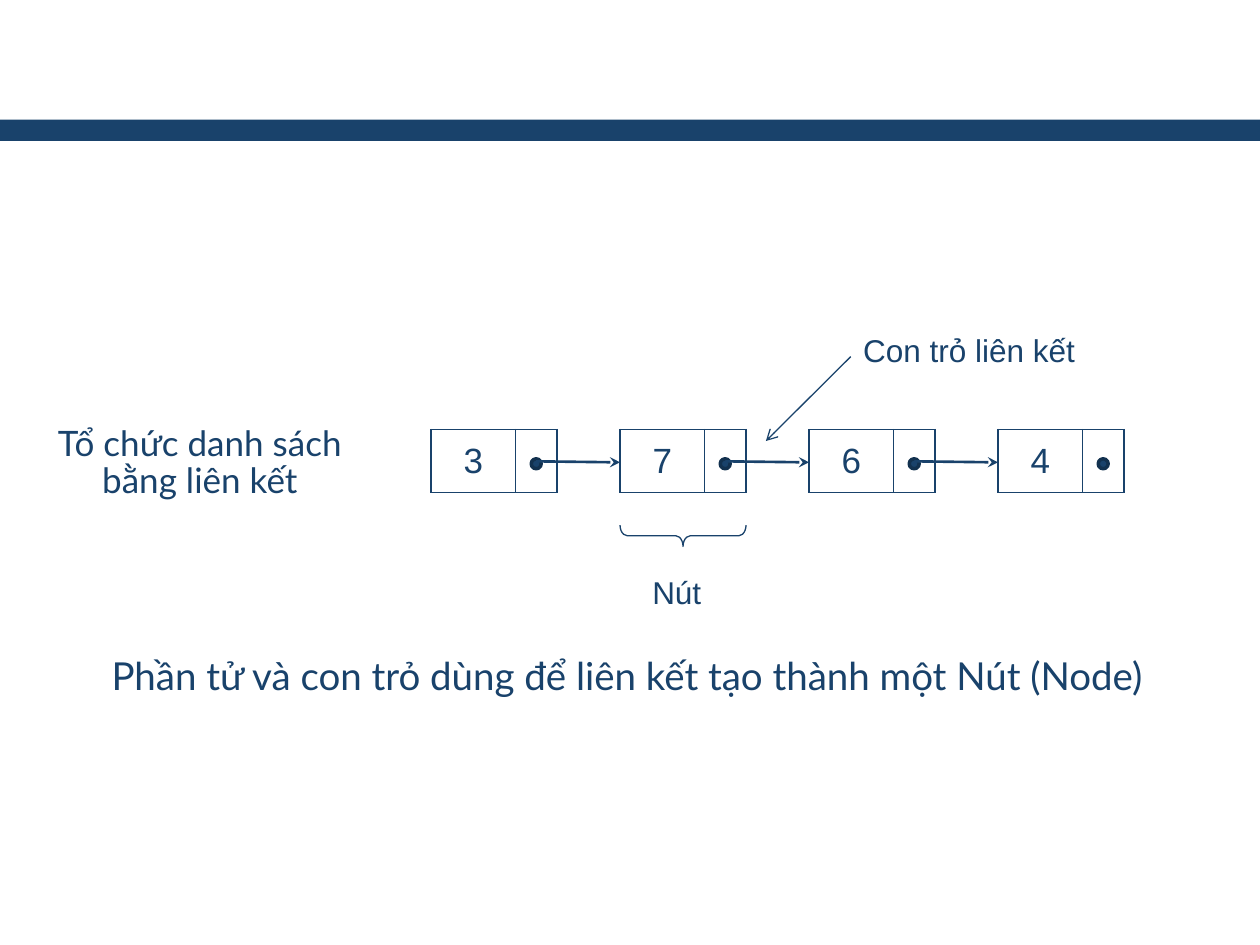
from lxml.etree import SubElement
from pptx import Presentation
from pptx.dml.color import RGBColor
from pptx.enum.shapes import MSO_CONNECTOR, MSO_SHAPE
from pptx.enum.text import MSO_ANCHOR, PP_ALIGN
from pptx.oxml.ns import qn
from pptx.util import Cm, Pt

COLORS = {"navy": "19426B", "dark": "12314F"}

# Content
NODE_VALUES = ["3", "7", "6", "4"]
# text, (left, top, width, height), font, size, paragraph options
LABELS = [
    ("Tổ chức danh sách bằng liên kết", (0.64, 8.46, 6.78, 1.9), "Lato", 20,
     {"align": PP_ALIGN.CENTER, "line": 0.9, "before": 4}),
    ("Nút", (12.9, 11.43, 1.7, 1.02), "Arial", 18, {}),
    ("Phần tử và con trỏ dùng để liên kết tạo thành một Nút (Node)",
     (0.43, 12.93, 25.4, 1.47), "Lato", 22,
     {"line": 1.1, "before": 4.4, "indent": 1.57}),
    ("Con trỏ liên kết", (17.15, 6.55, 5.51, 1.02), "Arial", 18, {}),
]

# Geometry in centimetres
FIRST_LEFT, NODE_TOP, NODE_PITCH = 8.69, 8.66, 3.81
VALUE_WIDTH, POINTER_WIDTH, NODE_HEIGHT = 1.7, 0.84, 1.27
NODE_WIDTH = VALUE_WIDTH + POINTER_WIDTH
DOT_SIZE, DOT_MIDDLE = 0.2, 9.35
LINK_START_Y, LINK_END_Y = 9.3, 9.32
BRACE_DEPTH, BRACE_MIDDLE = 0.43, 10.8


def color(name):
    return RGBColor.from_string(COLORS[name])


def add_run(paragraph, text, font, size):
    run = paragraph.add_run()
    run.text = text
    run.font.name = font
    run.font.size = Pt(size)
    run.font.color.rgb = color("navy")


def add_label(slide, text, box, font, size, options):
    frame = slide.shapes.add_textbox(*map(Cm, box)).text_frame
    frame.word_wrap = True
    paragraph = frame.paragraphs[0]
    paragraph.alignment = options.get("align", PP_ALIGN.LEFT)
    paragraph.line_spacing = options.get("line", 1.0)
    paragraph.space_before = Pt(options.get("before", 0))
    if "indent" in options:
        properties = paragraph._p.get_or_add_pPr()
        properties.set("marL", "0")
        properties.set("indent", str(Cm(options["indent"])))
    add_run(paragraph, text, font, size)


def add_plain_shape(slide, kind, box, fill=None, line=None, width=0):
    shape = slide.shapes.add_shape(kind, *map(Cm, box))
    shape.shadow.inherit = False
    if fill:
        shape.fill.solid()
        shape.fill.fore_color.rgb = color(fill)
    else:
        shape.fill.background()
    if line:
        shape.line.color.rgb = color(line)
        shape.line.width = Pt(width)
    else:
        shape.line.fill.background()
    return shape


def add_arrow(slide, start, end, width, head):
    connector = slide.shapes.add_connector(
        MSO_CONNECTOR.STRAIGHT, *map(Cm, start + end))
    connector.line.color.rgb = color("navy")
    connector.line.width = Pt(width)
    SubElement(connector.line._get_or_add_ln(), qn("a:tailEnd"), type=head)
    SubElement(connector._element.spPr, qn("a:effectLst"))


def add_borders(cell):
    properties = cell._tc.get_or_add_tcPr()
    for index, side in enumerate(("lnL", "lnR", "lnT", "lnB")):
        border = properties.makeelement(qn(f"a:{side}"), {"w": str(Pt(1))})
        fill = SubElement(border, qn("a:solidFill"))
        SubElement(fill, qn("a:srgbClr"), val=COLORS["navy"])
        properties.insert(index, border)


def add_node(slide, value, left):
    table = slide.shapes.add_table(
        1, 2, Cm(left), Cm(NODE_TOP), Cm(NODE_WIDTH), Cm(NODE_HEIGHT)).table
    table.first_row = table.horz_banding = False
    for column, width in zip(table.columns, (VALUE_WIDTH, POINTER_WIDTH)):
        column.width = Cm(width)
    for cell in table.iter_cells():
        cell.fill.background()
        cell.vertical_anchor = MSO_ANCHOR.MIDDLE
        add_borders(cell)
    paragraph = table.cell(0, 0).text_frame.paragraphs[0]
    paragraph.alignment = PP_ALIGN.CENTER
    add_run(paragraph, value, "Arial", 20)


def main():
    presentation = Presentation()
    presentation.slide_width, presentation.slide_height = Cm(25.4), Cm(19.05)
    slide = presentation.slides.add_slide(presentation.slide_layouts[6])

    # Band across the top
    add_plain_shape(slide, MSO_SHAPE.RECTANGLE, (0, 2.41, 25.4, 0.43), "navy")

    # Linked nodes
    lefts = [FIRST_LEFT + i * NODE_PITCH for i in range(len(NODE_VALUES))]
    for value, left in zip(NODE_VALUES, lefts):
        add_node(slide, value, left)
        dot_x = left + VALUE_WIDTH + POINTER_WIDTH / 2
        dot_box = (dot_x - DOT_SIZE / 2, DOT_MIDDLE - DOT_SIZE / 2,
                   DOT_SIZE, DOT_SIZE)
        add_plain_shape(slide, MSO_SHAPE.OVAL, dot_box, "navy", "dark", 2)
        if left != lefts[-1]:
            add_arrow(slide, (dot_x, LINK_START_Y),
                      (left + NODE_PITCH, LINK_END_Y), 1.5, "stealth")

    # Brace under the second node, turned to point down
    brace_x = lefts[1] + NODE_WIDTH / 2
    brace = add_plain_shape(
        slide, MSO_SHAPE.LEFT_BRACE,
        (brace_x - BRACE_DEPTH / 2, BRACE_MIDDLE - NODE_WIDTH / 2,
         BRACE_DEPTH, NODE_WIDTH), line="navy", width=0.75)
    brace.rotation = 270
    brace.adjustments[0] = 0.34

    # Labels and the arrow to the link
    for label in LABELS:
        add_label(slide, *label)
    add_arrow(slide, (17.15, 7.19), (15.44, 8.89), 0.75, "arrow")

    presentation.save("out.pptx")


if __name__ == "__main__":
    main()
